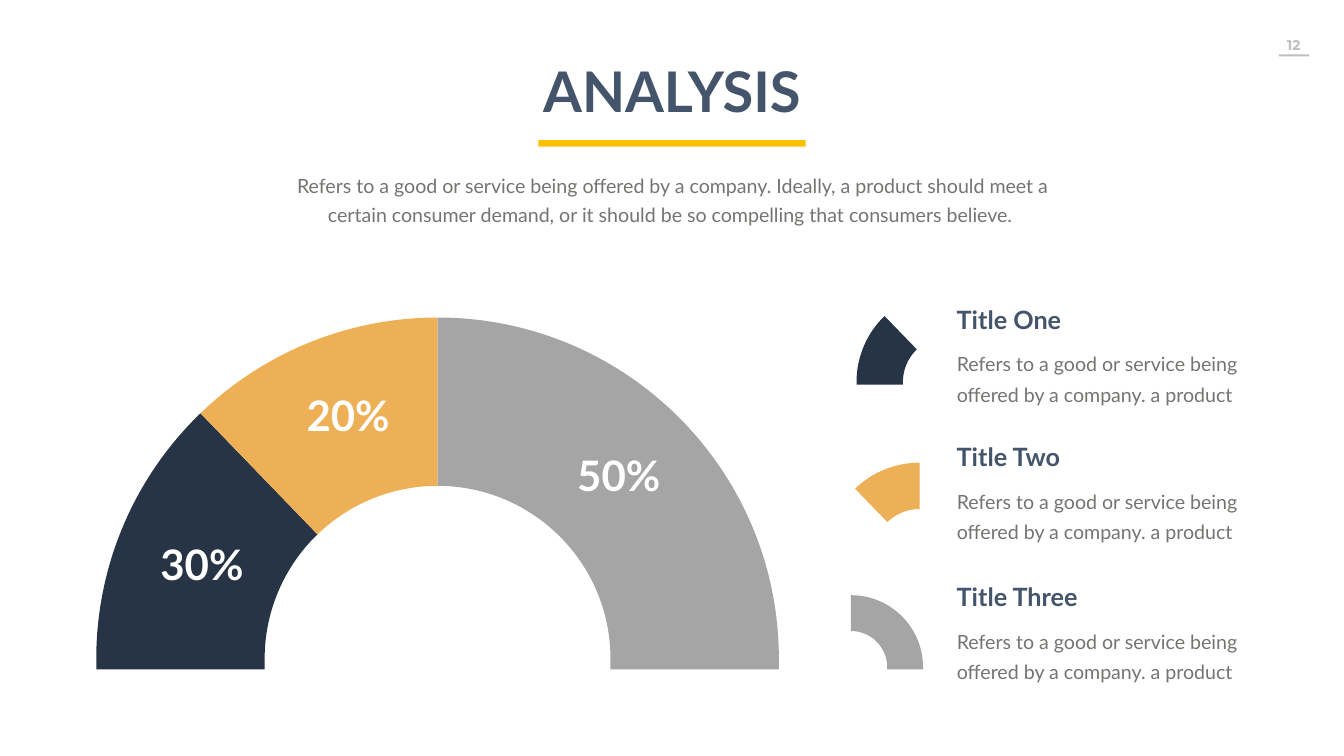
from math import cos, radians, sin, tan

from lxml import etree
from pptx import Presentation
from pptx.dml.color import RGBColor
from pptx.enum.shapes import MSO_SHAPE
from pptx.enum.text import MSO_ANCHOR, MSO_AUTO_SIZE, PP_ALIGN
from pptx.oxml.ns import qn
from pptx.util import Inches, Pt

RECT = MSO_SHAPE.RECTANGLE
TOP = MSO_ANCHOR.TOP
NO_FIT = MSO_AUTO_SIZE.NONE
LEFT, CENTER = PP_ALIGN.LEFT, PP_ALIGN.CENTER

# Content
TITLE = "ANALYSIS"
INTRO = ("Refers to a good or service being offered by a company. Ideally, "
         "a product should meet a certain consumer demand, or it should be "
         "so compelling that consumers believe. ")
DETAIL = "Refers to a good or service being offered by a company. a product"
PAGE = "12"

# Angles run from start to end in degrees; label is the left, top of its box.
# Icon is centre x, centre y, outer radius, inner radius, foot height.
SECTORS = [
    dict(name="Title One", share="30%", color="navy", angles=(180, 134),
         label=(2.47, 10.64), icon=(18.81, 7.58, 1.82, 0.9, 0.05), top=5.98),
    dict(name="Title Two", share="20%", color="ochre", angles=(134, 90),
         label=(5.37, 7.67), icon=(18.24, 11.02, 1.84, 0.92, 0), top=8.71),
    dict(name="Title Three", share="50%", color="gray", angles=(90, 0),
         label=(10.74, 8.86), icon=(16.88, 13.24, 1.43, 0.72, 0.04), top=11.48),
]
GAUGE = (8.68, 13.07, 6.77, 3.43, 0.21)

THEME = dict(
    font="Lato", page_font="Montserrat",
    colors=dict(navy="263445", ochre="EEB057", gray="A5A5A5", accent="FFC000",
                heading="44546A", body="737571", page="BFBFBF", white="FFFFFF"),
    sizes=dict(title=80, share=60, heading=36, body=28, page=20),
)


def rgb(name):
    return RGBColor.from_string(THEME["colors"][name])


def paint(shape, color):
    shape.shadow.inherit = False
    shape.fill.solid()
    shape.fill.fore_color.rgb = rgb(color)
    shape.line.fill.background()


def write(shape, text, size, color, bold=False, align=LEFT, spacing=None,
          font=THEME["font"], insets=(0.1, 0.05, 0.1, 0.05)):
    tf = shape.text_frame
    tf.word_wrap = True
    tf.auto_size = NO_FIT
    tf.vertical_anchor = TOP
    (tf.margin_left, tf.margin_top,
     tf.margin_right, tf.margin_bottom) = map(Inches, insets)
    p = tf.paragraphs[0]
    p.alignment = align
    if spacing:
        p.line_spacing = Pt(spacing)
    r = p.add_run()
    r.text = text
    r.font.name = font
    r.font.size = Pt(THEME["sizes"][size])
    r.font.bold = bold
    r.font.color.rgb = rgb(color)


def add_text(slide, box, *args, **kwargs):
    write(slide.shapes.add_textbox(*map(Inches, box)), *args, **kwargs)


def add_bar(slide, box, color):
    paint(slide.shapes.add_shape(RECT, *map(Inches, box)), color)


def arc(cx, cy, radius, start, end):
    """Start, two control points and end of one Bezier arc."""
    a, b = radians(start), radians(end)
    k = 4 / 3 * tan((b - a) / 4)
    unit = [(cos(a), sin(a)),
            (cos(a) - k * sin(a), sin(a) + k * cos(a)),
            (cos(b) + k * sin(b), sin(b) - k * cos(b)),
            (cos(b), sin(b))]
    return [(cx + radius * x, cy - radius * y) for x, y in unit]


def add_sector(slide, ring, angles, color):
    """Ring sector; an end lying on the horizontal gets a short straight foot."""
    cx, cy, outer, inner, foot = ring
    start, end = angles
    outline = arc(cx, cy, outer, start, end) + arc(cx, cy, inner, end, start)
    if foot and start == 180:
        outline += [(cx - inner, cy + foot), (cx - outer, cy + foot)]
    if foot and end == 0:
        outline[4:4] = [(cx + outer, cy + foot), (cx + inner, cy + foot)]
    points = [(Inches(x), Inches(y)) for x, y in outline]
    builder = slide.shapes.build_freeform(*points[0])
    builder.add_line_segments(points[1:], close=True)
    sp = builder.convert_to_shape()

    # Turn the three line steps of each arc into one curve
    lines = list(sp.element.iter(qn("a:lnTo")))
    inner_first = 6 if foot and end == 0 else 4
    for first in (0, inner_first):
        steps = lines[first:first + 3]
        curve = etree.Element(qn("a:cubicBezTo"))
        steps[0].addprevious(curve)
        for step in steps:
            curve.append(step[0])
            step.getparent().remove(step)
    paint(sp, color)


def main():
    prs = Presentation()
    prs.slide_width, prs.slide_height = Inches(26.66), Inches(15)
    s = prs.slides.add_slide(prs.slide_layouts[5])

    # Page number
    add_text(s, (25.27, 0.62, 0.94, 0.54), PAGE, "page", "page", bold=True,
             align=CENTER, font=THEME["page_font"], insets=(0.2, 0.1, 0.35, 0.1))
    add_bar(s, (25.37, 1.08, 0.6, 0.04), "page")

    # Header
    add_text(s, (5.7, 3.31, 15.28, 1.19), INTRO, "body", "body",
             align=CENTER, spacing=40.8)
    add_bar(s, (10.68, 2.78, 5.3, 0.13), "accent")
    title = s.shapes.title
    title.left, title.top, title.width, title.height = map(
        Inches, (9.99, 1.08, 6.68, 1.45))
    write(title, TITLE, "title", "heading", bold=True, align=CENTER)

    # Half ring
    for sector in SECTORS:
        add_sector(s, GAUGE, sector["angles"], sector["color"])

    # Legend
    for sector in SECTORS:
        top = sector["top"]
        add_sector(s, sector["icon"], sector["angles"], sector["color"])
        add_text(s, (18.74, top + 0.76, 6.23, 1.38), DETAIL, "body", "body",
                 spacing=43, insets=(0.24, 0.12, 0.24, 0.12))
        add_text(s, (18.88, top, 5.14, 0.71), sector["name"], "heading",
                 "heading", bold=True)

    # Shares
    for sector in SECTORS:
        add_text(s, (*sector["label"], 3.07, 1.11), sector["share"], "share",
                 "white", bold=True, align=CENTER)

    prs.save("out.pptx")


if __name__ == "__main__":
    main()
